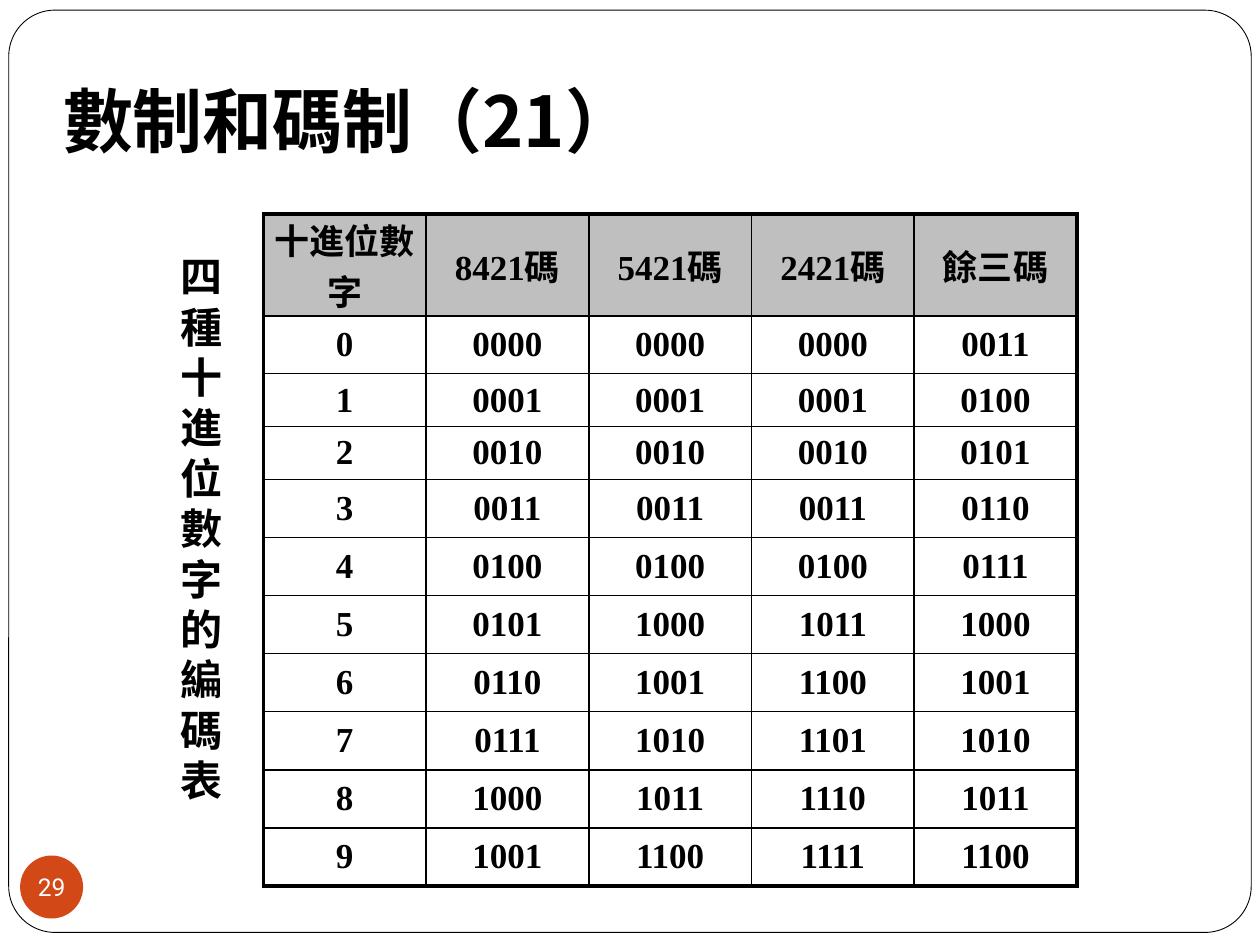
from lxml.etree import SubElement as Sub
from pptx import Presentation
from pptx.dml.color import RGBColor as RGB
from pptx.enum.shapes import MSO_SHAPE as Shape
from pptx.enum.text import MSO_ANCHOR as Anchor, MSO_AUTO_SIZE as Fit, PP_ALIGN as Align
from pptx.oxml.ns import qn
from pptx.util import Pt

# Content
TITLE = "數制和碼制（21）"
SIDE = "四種十進位數字的編碼表"
PAGE = "29"
HEAD = ["十進位數字", "8421碼", "5421碼", "2421碼", "餘三碼"]
CODES = [
    ("0000", "0000", "0000", "0011"),
    ("0001", "0001", "0001", "0100"),
    ("0010", "0010", "0010", "0101"),
    ("0011", "0011", "0011", "0110"),
    ("0100", "0100", "0100", "0111"),
    ("0101", "1000", "1011", "1000"),
    ("0110", "1001", "1100", "1001"),
    ("0111", "1010", "1101", "1010"),
    ("1000", "1011", "1110", "1011"),
    ("1001", "1100", "1111", "1100"),
]
ROWS = [HEAD] + [(str(n), *row) for n, row in enumerate(CODES)]


class Theme:
    ink, paper = RGB(0, 0, 0), RGB(255, 255, 255)
    gray, badge = RGB(0xBF, 0xBF, 0xBF), RGB(0xD3, 0x48, 0x17)
    cjk, serif, sans = "Noto Sans CJK JP", "Times New Roman", "Roboto"
    title, side, cell, page = 40, 24, 20, 14
    thick, thin = 2.25, 1


# Places: left, top, width, height
FRAME = (5, 5.8, 710, 527)
TITLE_BOX = (28.8, 21.6, 612, 77.8)
BADGE = (11.5, 488.9, 36, 36)
GRID = (150.5, 122.4, 465, 368.6)
SIDE_BOX = (95.8, 139.7, 36, 326.9)
HEIGHTS = [42.5, 33.1, 30.2, 30.2] + [33.2] * 7


def box(place):
    return [Pt(n) for n in place]


def write(frame, text, size, face, color=Theme.ink, bold=True, align=Align.LEFT):
    frame.text = text
    par = frame.paragraphs[0]
    par.alignment = align
    font = par.font
    font.size, font.name, font.bold = Pt(size), face, bold
    font.color.rgb = color
    props = par._p.pPr.find(qn("a:defRPr"))
    Sub(props, qn("a:ea"), typeface=Theme.cjk)


def pad(frame, left, top, right, bottom):
    frame.margin_left, frame.margin_top = Pt(left), Pt(top)
    frame.margin_right, frame.margin_bottom = Pt(right), Pt(bottom)


def edge(cell, side, width):
    line = Sub(cell._tc.get_or_add_tcPr(), qn(f"a:ln{side}"), w=str(Pt(width)))
    fill = Sub(line, qn("a:solidFill"))
    Sub(fill, qn("a:srgbClr"), val=str(Theme.ink))


deck = Presentation()
deck.slide_width, deck.slide_height = Pt(720), Pt(540)
slide = deck.slides.add_slide(deck.slide_layouts[5])
shapes = slide.shapes

# Title
title = shapes.title
title.left, title.top, title.width, title.height = box(TITLE_BOX)
text = title.text_frame
text.auto_size, text.vertical_anchor = Fit.NONE, Anchor.BOTTOM
pad(text, 7.2, 3.6, 7.2, 7.2)
write(text, TITLE, Theme.title, Theme.cjk)

# Rounded page frame, behind the title
frame = shapes.add_shape(Shape.ROUNDED_RECTANGLE, *box(FRAME))
frame.adjustments[0] = 0.05
frame.shadow.inherit = False
frame.fill.solid()
frame.fill.fore_color.rgb = Theme.paper
frame.line.color.rgb = Theme.ink
frame.line.width = Pt(0.5)
title.element.addprevious(frame.element)

# Page number badge
badge = shapes.add_shape(Shape.OVAL, *box(BADGE))
badge.shadow.inherit = False
badge.fill.solid()
badge.fill.fore_color.rgb = Theme.badge
badge.line.fill.background()
text = badge.text_frame
text.word_wrap, text.vertical_anchor = False, Anchor.MIDDLE
pad(text, 0, 0, 0, 0)
write(text, PAGE, Theme.page, Theme.sans, Theme.paper, False, Align.CENTER)

# Code table: thick outline, thin inner lines
last, end = len(ROWS) - 1, len(HEAD) - 1
table = shapes.add_table(len(ROWS), len(HEAD), *box(GRID)).table
table.first_row = table.horz_banding = False
for col in table.columns:
    col.width = Pt(GRID[2] / len(HEAD))
for r, (row, high) in enumerate(zip(ROWS, HEIGHTS)):
    table.rows[r].height = Pt(high)
    for c, value in enumerate(row):
        cell = table.cell(r, c)
        cell.vertical_anchor = Anchor.MIDDLE
        pad(cell, 5, 0, 5, 0)
        write(cell.text_frame, value, Theme.cell, Theme.serif, align=Align.CENTER)
        outer = {"L": c == 0, "R": c == end, "T": r == 0, "B": r == last}
        for side, out in outer.items():
            edge(cell, side, Theme.thick if out else Theme.thin)
        if r == 0:
            cell.fill.solid()
            cell.fill.fore_color.rgb = Theme.gray
        else:
            cell.fill.background()

# Side caption, one character to a line
side = shapes.add_textbox(*box(SIDE_BOX))
text = side.text_frame
text.word_wrap, text.auto_size = True, Fit.SHAPE_TO_FIT_TEXT
write(text, SIDE, Theme.side, Theme.serif)

deck.save("out.pptx")
